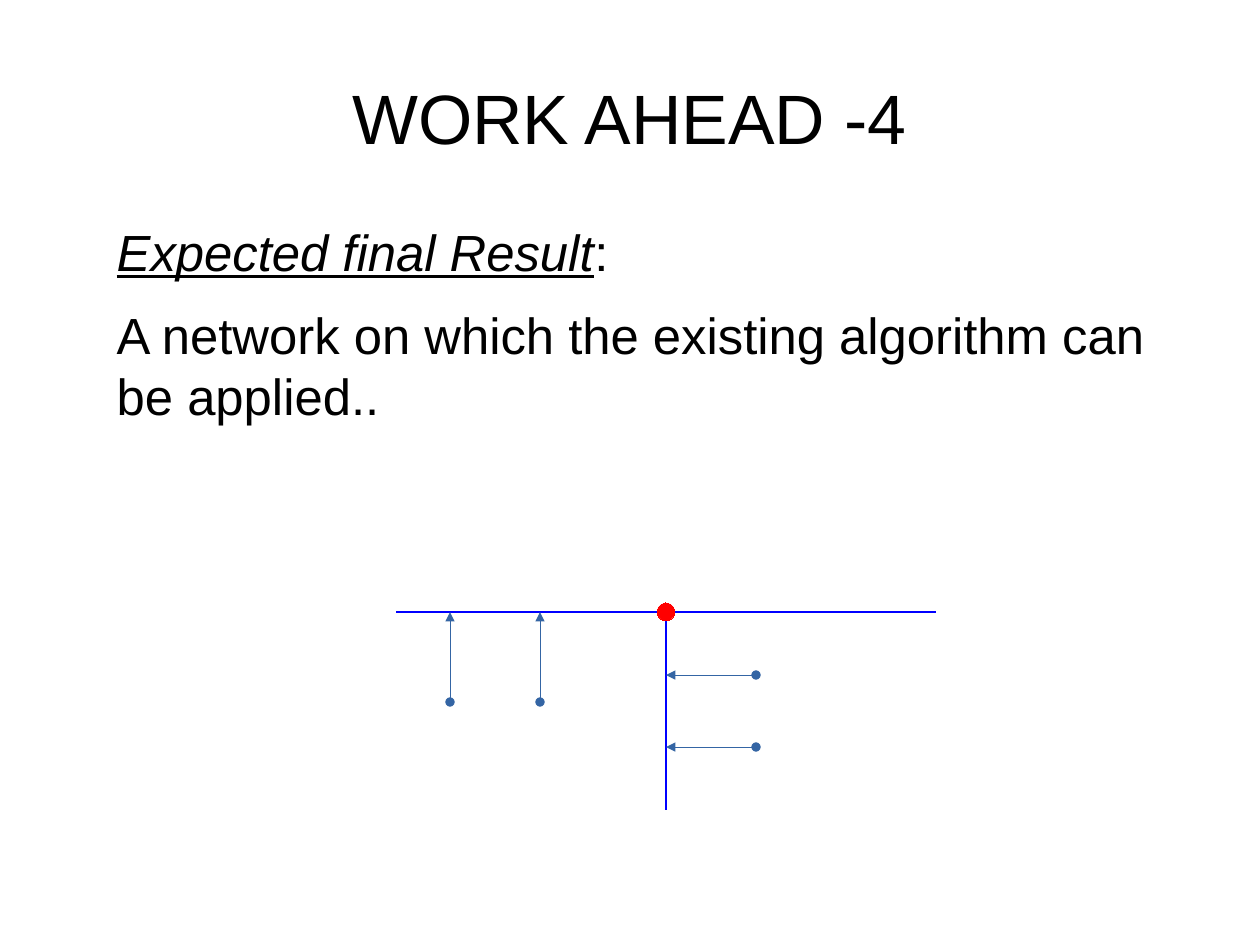
from lxml.etree import SubElement
from pptx import Presentation
from pptx.dml.color import RGBColor
from pptx.enum.shapes import MSO_CONNECTOR, MSO_SHAPE
from pptx.enum.text import MSO_ANCHOR, PP_ALIGN
from pptx.oxml.ns import qn
from pptx.util import Cm, Inches, Pt

COLORS = {"text": "000000", "road": "0000FF", "junction": "FF0000", "link": "3465A4"}
COLUMNS, ROWS = 28, 21


def add_span(para, text, size=32, color="text", font="Arial", italic=False, underline=False):
    span = para.add_run()
    span.text = text
    span.font.name = font
    span.font.size = Pt(size)
    span.font.italic = italic
    span.font.underline = underline
    span.font.color.rgb = RGBColor.from_string(COLORS[color])


class NetworkPage:
    def __init__(self, deck):
        self.page = deck.slides.add_slide(deck.slide_layouts[6])
        self.column = deck.slide_width / COLUMNS
        self.row = deck.slide_height / ROWS

    def place(self, column, row):
        return round(column * self.column), round(row * self.row)

    def text(self, left, top, width, height, anchor=MSO_ANCHOR.TOP):
        box = self.page.shapes.add_textbox(*self.place(left, top), *self.place(width, height))
        frame = box.text_frame
        frame.word_wrap = True
        frame.vertical_anchor = anchor
        frame.margin_left = frame.margin_right = frame.margin_top = frame.margin_bottom = 0
        return frame

    def outline(self, shape, color, width):
        shape.line.color.rgb = RGBColor.from_string(COLORS[color])
        outline = shape.line._get_or_add_ln()
        outline.set("w", str(Pt(width)))
        return outline

    def dot(self, column, row, size, color):
        corner = self.place(column - size / 2, row - size / 2)
        dot = self.page.shapes.add_shape(MSO_SHAPE.OVAL, *corner, *self.place(size, size))
        dot.shadow.inherit = False
        dot.fill.solid()
        dot.fill.fore_color.rgb = RGBColor.from_string(COLORS[color])
        self.outline(dot, color, 0)

    def line(self, start, end, color, width, ends=()):
        line = self.page.shapes.add_connector(
            MSO_CONNECTOR.STRAIGHT, *self.place(*start), *self.place(*end))
        outline = self.outline(line, color, width)
        for tag, kind in ends:
            SubElement(outline, qn(tag), type=kind, w="med", len="med")
        SubElement(line._element.spPr, qn("a:effectLst"))

    def road(self, start, end):
        self.line(start, end, "road", 1.5)

    def link(self, target, source):
        self.line(target, source, "link", 0, (("a:headEnd", "triangle"), ("a:tailEnd", "oval")))


def main():
    deck = Presentation()
    deck.slide_width, deck.slide_height = Cm(COLUMNS), Cm(ROWS)
    page = NetworkPage(deck)

    title = page.text(1.4, 0.84, 25.2, 3.5, MSO_ANCHOR.MIDDLE).paragraphs[0]
    title.alignment = PP_ALIGN.CENTER
    add_span(title, "WORK AHEAD -4", size=44)

    body = page.text(1.4, 4.9, 25.2, 12.17)
    heading, result = body.paragraphs[0], body.add_paragraph()
    for para in (heading, result):
        para.space_before = Pt(14.2)
        para._p.get_or_add_pPr().set("marL", str(Inches(0.47)))
        para._p.get_or_add_pPr().set("indent", "0")
    add_span(heading, "Expected final Result", italic=True, underline=True)
    add_span(heading, ":")
    add_span(result, "A network on which the existing algorithm can be applied..")

    center, level, radius, reach = 14.8, 13.6, 0.2, 2
    page.dot(center, level, 2 * radius, "junction")
    page.road((center, level + radius), (center, 18))
    for side in (1, -1):
        page.road((center + side * radius, level), (center + side * 6, level))
    for column in (10, 12):
        page.link((column, level), (column, level + reach))
    for row in (16.6, 15):
        page.link((center, row), (center + reach, row))

    deck.save("out.pptx")


if __name__ == "__main__":
    main()
